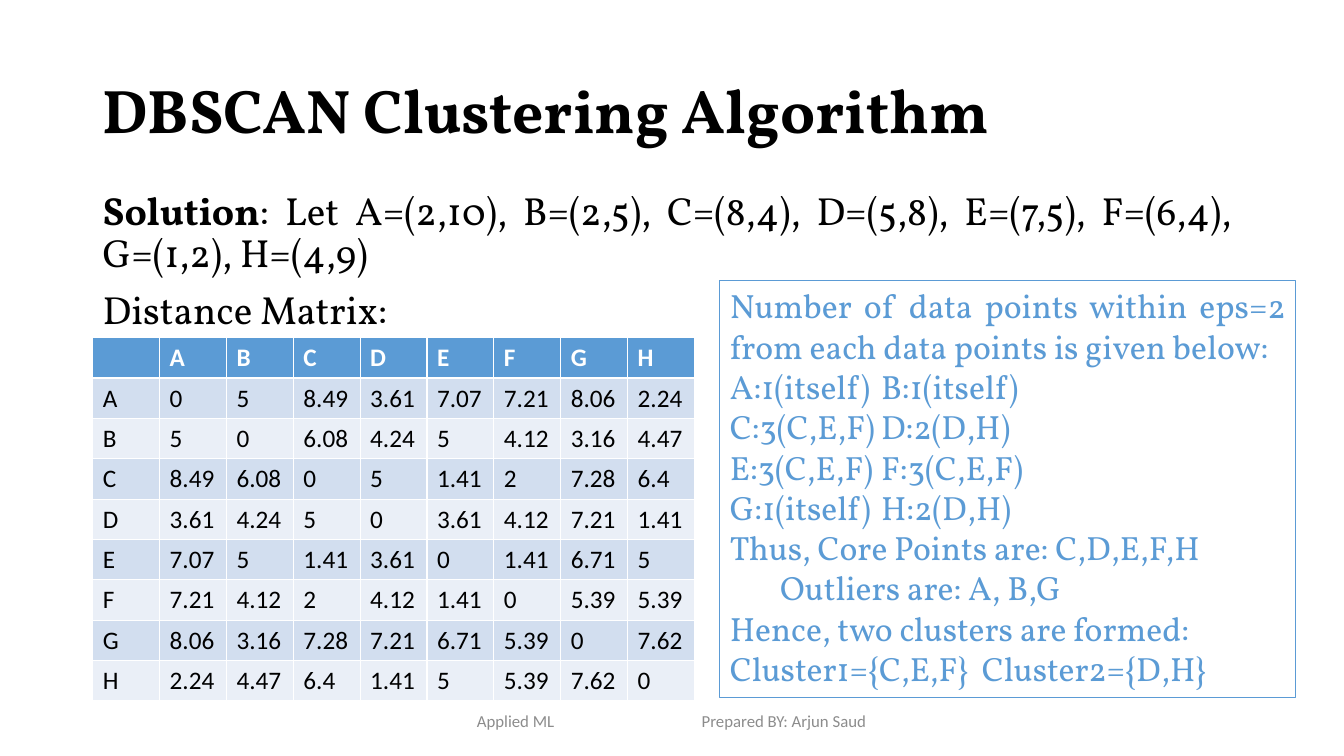
import dataclasses
import math

import lxml.etree
import pptx
import pptx.dml.color
import pptx.enum.shapes
import pptx.enum.text
import pptx.oxml.ns
import pptx.util

Inches = pptx.util.Inches
ALIGN = pptx.enum.text.PP_ALIGN
ANCHOR = pptx.enum.text.MSO_ANCHOR


@dataclasses.dataclass(frozen=True)
class Theme:
    """Fonts, colours and type sizes of the slide."""
    serif: str = "Vollkorn"
    sans: str = "Calibri"
    ink: str = "000000"
    paper: str = "FFFFFF"
    accent: str = "5B9BD5"
    muted: str = "8C8C8C"
    bands: tuple = ("D2DEEF", "EAEFF7")
    title: int = 44
    body: int = 28
    result: int = 24
    cell: int = 18
    footer: int = 12


THEME = Theme()
POINTS = {
    "A": (2, 10), "B": (2, 5), "C": (8, 4), "D": (5, 8),
    "E": (7, 5), "F": (6, 4), "G": (1, 2), "H": (4, 9),
}
RESULTS = (
    "Number of data points within eps=2 from each data points is given below:",
    "A:1(itself)\tB:1(itself)",
    "C:3(C,E,F)\tD:2(D,H)",
    "E:3(C,E,F)\tF:3(C,E,F)",
    "G:1(itself)\tH:2(D,H)",
    "Thus, Core Points are: C,D,E,F,H",
    "\tOutliers are: A, B,G",
    "Hence, two clusters are formed:",
    "Cluster1={C,E,F}\tCluster2={D,H}",
)


def rgb(color):
    """Turn a hex string into a colour value."""
    return pptx.dml.color.RGBColor.from_string(color)


def style(para, family, size, color, bold=False):
    """Set the font of a whole paragraph."""
    font = para.font
    font.name, font.size, font.bold = family, pptx.util.Pt(size), bold
    font.color.rgb = rgb(color)


def add_text(page, left, top, width, height, anchor=ANCHOR.TOP):
    """Add a wrapping text box and return its text frame."""
    frame = page.shapes.add_textbox(
        Inches(left), Inches(top), Inches(width), Inches(height)).text_frame
    frame.word_wrap = True
    frame.vertical_anchor = anchor
    return frame


def add_title(page, text):
    """Add the slide title."""
    para = add_text(page, 0.92, 0.4, 11.5, 1.45, ANCHOR.MIDDLE).paragraphs[0]
    para.text = text
    para.line_spacing = 0.9
    style(para, THEME.serif, THEME.title, THEME.ink, bold=True)


def add_body(page):
    """Add the list of data points and the caption of the matrix."""
    frame = add_text(page, 0.92, 1.85, 11.39, 4.91)
    points = ", ".join(f"{name}=({x},{y})" for name, (x, y) in POINTS.items())
    solution, caption = frame.paragraphs[0], frame.add_paragraph()
    lead = solution.add_run()
    lead.text = "Solution"
    lead.font.bold = True
    solution.add_run().text = f": Let {points}"
    caption.text = "Distance Matrix:"
    for para in (solution, caption):
        para.alignment = ALIGN.JUSTIFY
        para.line_spacing = 0.9
        para.space_before = pptx.util.Pt(10)
        style(para, THEME.serif, THEME.body, THEME.ink)


def matrix_rows():
    """Return the header row and the pairwise distances as text."""
    rows = [["", *POINTS]]
    for name, point in POINTS.items():
        distances = (math.dist(point, other) for other in POINTS.values())
        rows.append([name, *(f"{round(value, 2):g}" for value in distances)])
    return rows


def add_matrix(page):
    """Add the distance matrix with a header row and banded rows."""
    rows = matrix_rows()
    count = len(rows)
    table = page.shapes.add_table(
        count, count, Inches(0.92), Inches(3.35), Inches(5.97), Inches(3.6)).table
    for row, values in enumerate(rows):
        header = row == 0
        fill = THEME.accent if header else THEME.bands[(row - 1) % 2]
        color = THEME.paper if header else THEME.ink
        for column, value in enumerate(values):
            cell = table.cell(row, column)
            cell.fill.solid()
            cell.fill.fore_color.rgb = rgb(fill)
            cell.text = value
            style(cell.text_frame.paragraphs[0], THEME.sans, THEME.cell, color, header)


def add_results(page):
    """Add the outlined box with neighbour counts and clusters."""
    box = page.shapes.add_shape(
        pptx.enum.shapes.MSO_SHAPE.RECTANGLE,
        Inches(7.14), Inches(2.78), Inches(5.71), Inches(4.14))
    box.shadow.inherit = False
    box.fill.background()
    box.line.color.rgb = rgb(THEME.accent)
    box.line.width = pptx.util.Pt(0.75)
    frame = box.text_frame
    frame.word_wrap = True
    frame.auto_size = pptx.enum.text.MSO_AUTO_SIZE.SHAPE_TO_FIT_TEXT
    frame.vertical_anchor = ANCHOR.TOP
    frame.text = "\n".join(RESULTS)
    for para in frame.paragraphs:
        para.alignment = ALIGN.JUSTIFY
        style(para, THEME.serif, THEME.result, THEME.accent)


def add_tab_stop(para, position):
    """Add a left tab stop to a paragraph."""
    qn = pptx.oxml.ns.qn
    tabs = lxml.etree.Element(qn("a:tabLst"))
    lxml.etree.SubElement(tabs, qn("a:tab"), pos=str(Inches(position)), algn="l")
    para._p.get_or_add_pPr().insert(0, tabs)


def add_footer(page, course, author):
    """Add the footer line, its two parts set apart by a tab stop."""
    frame = add_text(page, 4.42, 6.95, 4.5, 0.4, ANCHOR.MIDDLE)
    frame.margin_left = Inches(0.31)
    para = frame.paragraphs[0]
    para.text = f"{course}\t{author}"
    para.alignment = ALIGN.LEFT
    add_tab_stop(para, 2.23)
    style(para, THEME.sans, THEME.footer, THEME.muted)


def main():
    """Build the slide and save the deck."""
    deck = pptx.Presentation()
    deck.slide_width, deck.slide_height = Inches(13.33), Inches(7.5)
    page = deck.slides.add_slide(deck.slide_layouts[6])
    add_title(page, "DBSCAN Clustering Algorithm")
    add_body(page)
    add_footer(page, "Applied ML", "Prepared BY: Arjun Saud")
    add_matrix(page)
    add_results(page)
    deck.save("out.pptx")


main()
